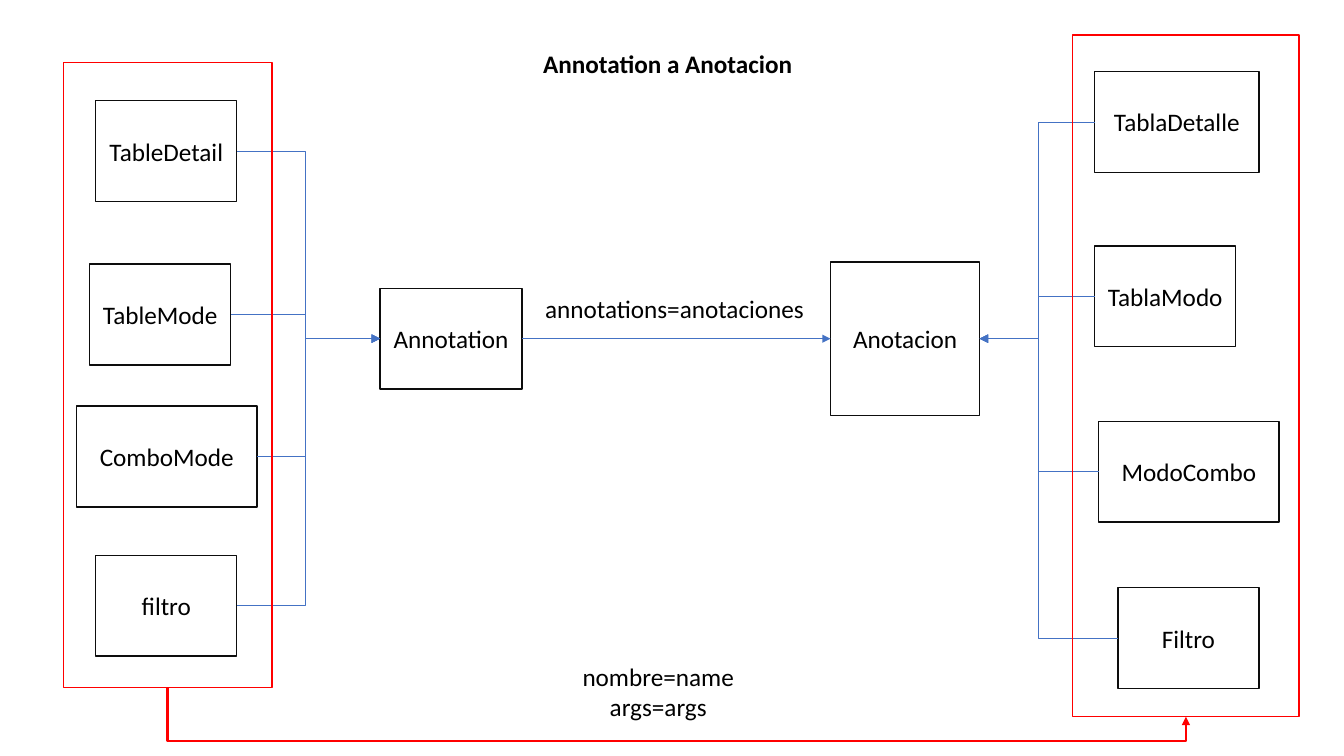
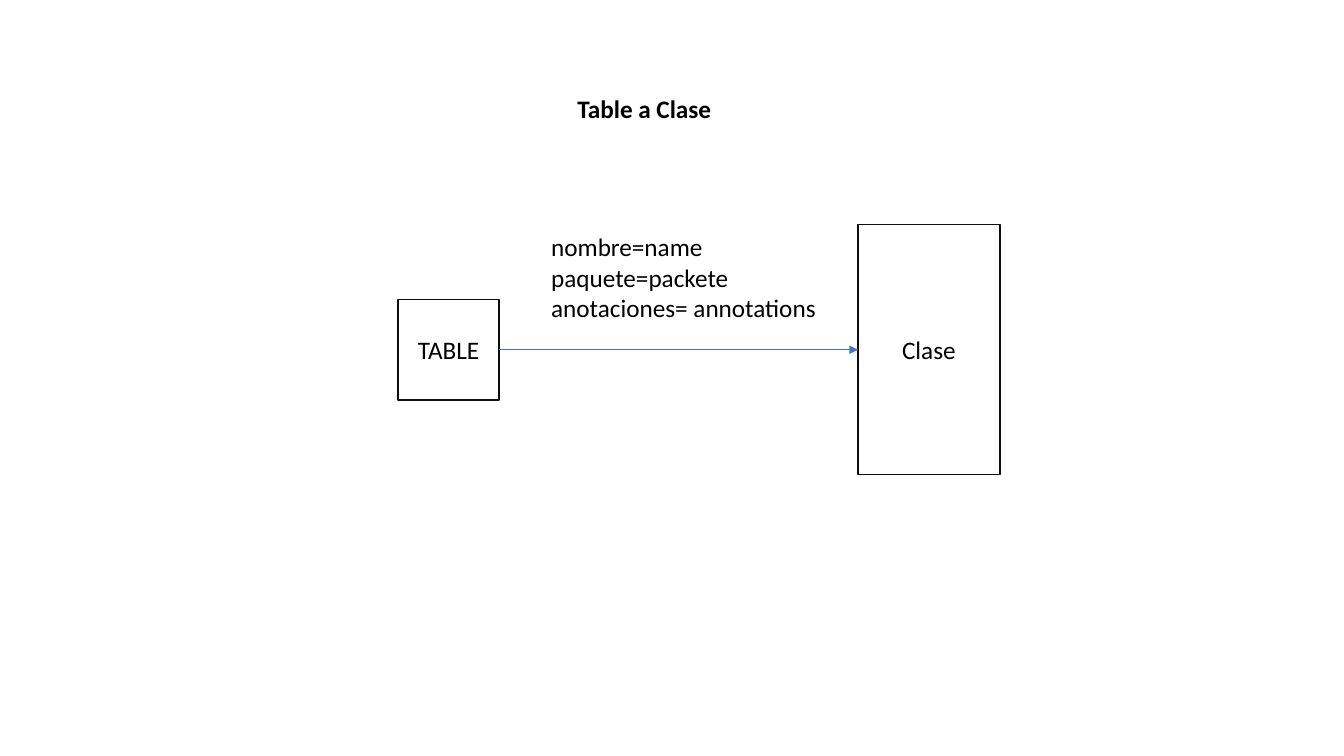
import pptx
import pptx.util
import pptx.dml.color
import pptx.enum.shapes
import pptx.enum.text
import pptx.oxml
import pptx.oxml.ns

HUES = {"paper": "FFFFFF", "ink": "000000", "edge": "0D0D0D",
        "link": "4472C4", "frame": "FF0000"}
FONT = "Calibri"
COLS, ROWS = 80, 45  # square grid cells, six to the inch
TOP, LEFT, BOTTOM, RIGHT = range(4)  # connection sites of a rectangle
KIND = pptx.enum.shapes.MSO_CONNECTOR
ALIGN = pptx.enum.text.PP_ALIGN
qn = pptx.oxml.ns.qn


def hue(name):
    return pptx.dml.color.RGBColor.from_string(HUES[name])


def write(frame, text, size=18, bold=False, color="ink", align=ALIGN.LEFT):
    """Fill a text frame, one paragraph per line."""
    frame.text = text
    for para in frame.paragraphs:
        para.alignment = align
        font = para.font
        font.name, font.size, font.bold = FONT, pptx.util.Pt(size), bold
        font.color.rgb = hue(color)


def add(parent, tag, **attrs):
    node = pptx.oxml.parse_xml(f"<{tag} {pptx.oxml.ns.nsdecls('a')}/>")
    for key, value in attrs.items():
        node.set(key, value)
    parent.append(node)


class Deck:
    def __init__(self):
        self.prs = pptx.Presentation()
        self.prs.slide_width = pptx.util.Inches(13.333)
        self.prs.slide_height = pptx.util.Inches(7.5)

    def page(self):
        self.shapes = self.prs.slides.add_slide(self.prs.slide_layouts[6]).shapes

    def col(self, n):
        return round(self.prs.slide_width * n / COLS)

    def row(self, n):
        return round(self.prs.slide_height * n / ROWS)

    def area(self, x, y, w, h):
        return self.col(x), self.row(y), self.col(w), self.row(h)

    def rect(self, area, edge, width):
        kind = pptx.enum.shapes.MSO_SHAPE.RECTANGLE
        shape = self.shapes.add_shape(kind, *self.area(*area))
        shape.shadow.inherit = False
        shape.line.color.rgb = hue(edge)
        shape.line.width = pptx.util.Pt(width)
        return shape

    def box(self, text, x, y, w=8.4, h=6):
        shape = self.rect((x, y, w, h), "edge", 1)
        shape.fill.solid()
        shape.fill.fore_color.rgb = hue("paper")
        write(shape.text_frame, text, align=ALIGN.CENTER)
        return shape

    def frame(self, *area):
        shape = self.rect(area, "frame", 1.25)
        shape.fill.background()
        return shape

    def label(self, text, *area, **form):
        frame = self.shapes.add_textbox(*self.area(*area)).text_frame
        frame.word_wrap = False
        frame.auto_size = pptx.enum.text.MSO_AUTO_SIZE.SHAPE_TO_FIT_TEXT
        write(frame, text, **form)

    def title(self, text, *area):
        self.label(text, *area, bold=True)

    def arrow(self, start, out, end, into, lane=None, color="link", width=0.5):
        """Join two sites; lane is the column or row of the middle leg."""
        kind = KIND.STRAIGHT if lane is None else KIND.ELBOW
        line = self.shapes.add_connector(kind, 0, 0, 0, 0)
        line.begin_connect(start, out)
        line.end_connect(end, into)
        line.line.color.rgb = hue(color)
        line.line.width = pptx.util.Pt(width)
        props = line.element.spPr
        add(props.find(qn("a:ln")), "a:tailEnd", type="triangle")
        add(props, "a:effectLst")
        if lane is not None:
            self.bend(line, lane, out in (TOP, BOTTOM))

    def bend(self, line, lane, upright):
        props = line.element.spPr
        x, y = line.begin_x, line.begin_y
        dx, dy = line.end_x - x, line.end_y - y
        if upright:  # quarter turn about the middle
            line.left, line.top = x + (dx - dy) // 2, y + (dy - dx) // 2
            line.width, line.height = dy, dx
            props.xfrm.set("rot", "16200000")
            props.xfrm.set("flipH", "1")
            share = (self.row(lane) - y) / dy
        else:
            share = (self.col(lane) - x) / dx
        add(props.find(qn("a:prstGeom")).find(qn("a:avLst")), "a:gd",
            name="adj1", fmla=f"val {round(share * 100000)}")


deck = Deck()

# Slide 1: annotation mapping
deck.page()
source = deck.box("Annotation", 22.62, 17.16, 8.46)
target = deck.box("Anotacion", 49.44, 15.6, 8.88, 9.12)
deck.arrow(source, RIGHT, target, LEFT)
deck.label("annotations=anotaciones", 31.86, 17.16, 16.8, 2.4)
deck.title("Annotation a Anotacion", 31.74, 2.58, 16.14, 2.4)

# Boxes on either side, each with its lane to the hub
SIDES = [
    (source, RIGHT, LEFT, 18.2, [
        ("TableDetail", 5.7, 6), ("TableMode", 5.34, 15.72),
        ("ComboMode", 4.56, 24.18, 10.74), ("filtro", 5.7, 33.06)]),
    (target, LEFT, RIGHT, 61.8, [
        ("TablaDetalle", 65.16, 4.26, 9.78), ("TablaModo", 65.16, 14.64),
        ("ModoCombo", 65.4, 25.08, 10.74), ("Filtro", 66.54, 34.98)]),
]
for hub, out, into, lane, items in SIDES:
    for box in [deck.box(*item) for item in items]:
        deck.arrow(box, out, hub, into, lane)

# Red frames and the arrow beneath them
deck.label("nombre=name\nargs=args", 34.02, 39.06, 10.32, 4.26,
           align=ALIGN.CENTER)
first = deck.frame(3.78, 3.72, 12.42, 37.2)
last = deck.frame(63.84, 2.1, 13.5, 40.56)
deck.arrow(first, BOTTOM, last, BOTTOM, 44.1, color="frame", width=2)

# Slide 2: table to class
deck.page()
deck.title("Table a Clase", 33.78, 5.28, 9.6, 2.4)
table = deck.box("TABLE", 23.7, 17.82, 6)
clase = deck.box("Clase", 51.06, 13.38, 8.46, 14.88)
deck.arrow(table, RIGHT, clase, LEFT)
deck.label("nombre=name\npaquete=packete\nanotaciones= annotations",
           32.22, 13.5, 17.16, 6.06)

deck.prs.save("out.pptx")
